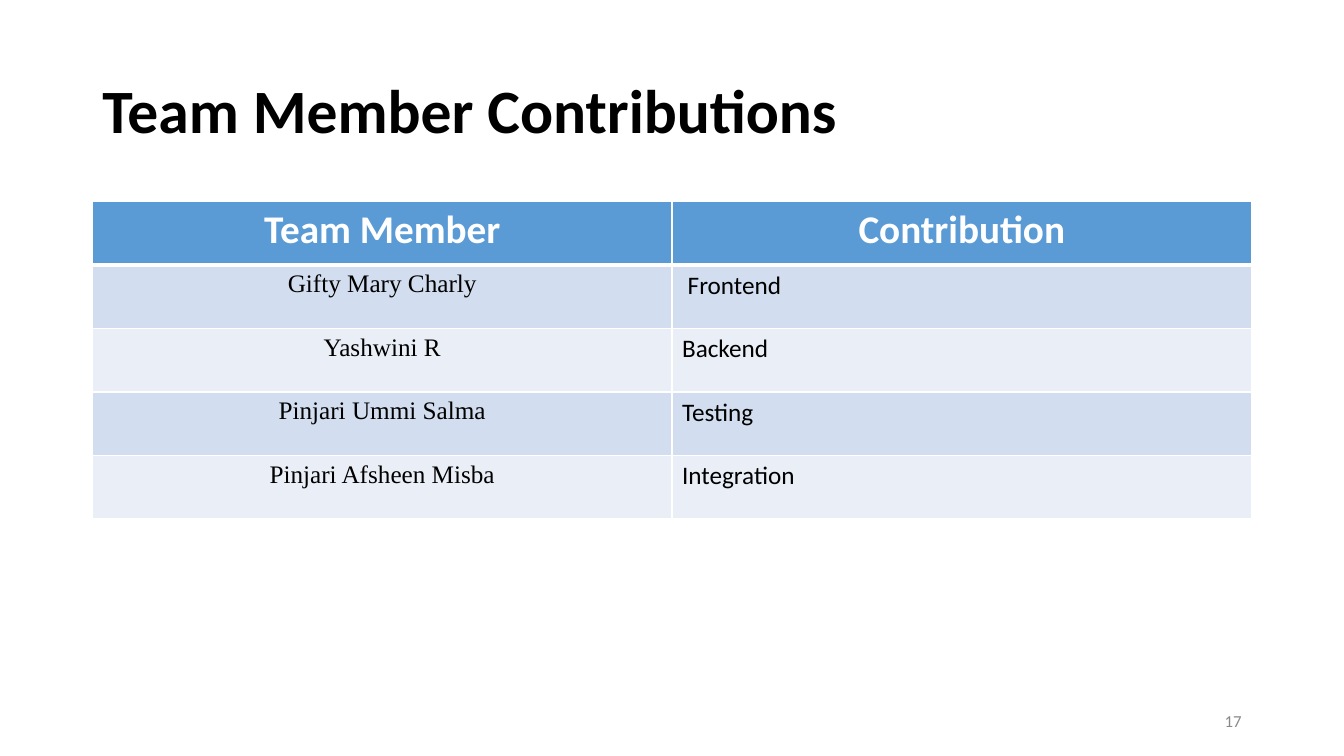
from lxml.etree import SubElement
from pptx import Presentation
from pptx.dml.color import RGBColor
from pptx.enum.text import MSO_ANCHOR as Anchor, PP_ALIGN as Align
from pptx.oxml.ns import qn
from pptx.util import Cm, Pt

COLORS = {
    "text": "000000",
    "white": "FFFFFF",
    "header": "5B9BD5",
    "odd_row": "D2DEEF",
    "even_row": "EAEFF7",
    "number": "898989",
}
HEADINGS = ("Team Member", "Contribution")
CONTRIBUTIONS = [
    ("Gifty Mary Charly", " Frontend"),
    ("Yashwini R", "Backend"),
    ("Pinjari Ummi Salma", "Testing"),
    ("Pinjari Afsheen Misba", "Integration"),
]


def color(name):
    return RGBColor.from_string(COLORS[name])


class SlideBuilder:
    body_font = "Calibri"
    name_font = "Times New Roman"

    def __init__(self, slide):
        self.slide = slide

    def set_text(self, frame, text, size, color_name, align=Align.LEFT, bold=False, font_name=None):
        paragraph = frame.paragraphs[0]
        paragraph.text = text
        paragraph.alignment = align
        font = paragraph.font
        font.name = font_name or self.body_font
        font.size = Pt(size)
        font.bold = bold
        font.color.rgb = color(color_name)
        return paragraph

    def text_box(self, box, text, size, color_name, **style):
        shape = self.slide.shapes.add_textbox(*map(Cm, box))
        frame = shape.text_frame
        frame.word_wrap = True
        frame.vertical_anchor = Anchor.MIDDLE
        return self.set_text(frame, text, size, color_name, **style)

    def borders(self, cell, bottom_width, top_width):
        properties = cell._tc.get_or_add_tcPr()
        widths = {"a:lnL": 1, "a:lnR": 1, "a:lnT": top_width, "a:lnB": bottom_width}
        for position, (tag, width) in enumerate(widths.items()):
            line = SubElement(properties, qn(tag), w=str(Pt(width)))
            fill = SubElement(line, qn("a:solidFill"))
            SubElement(fill, qn("a:srgbClr"), val=COLORS["white"])
            properties.insert(position, line)

    def table(self, left, top, width, row_height, headings, records):
        rows = [headings, *records]
        frame = self.slide.shapes.add_table(
            len(rows), len(headings), Cm(left), Cm(top), Cm(width), Cm(row_height * len(rows))
        )
        for row_index, row in enumerate(rows):
            is_header = row_index == 0
            fill_name = "header" if is_header else "odd_row" if row_index % 2 else "even_row"
            for column_index, text in enumerate(row):
                cell = frame.table.cell(row_index, column_index)
                cell.fill.solid()
                cell.fill.fore_color.rgb = color(fill_name)
                self.borders(cell, 3 if is_header else 1, 3 if row_index == 1 else 1)
                is_name = column_index == 0
                if is_header:
                    self.set_text(cell.text_frame, text, 28, "white", Align.CENTER, bold=True)
                elif is_name:
                    self.set_text(cell.text_frame, text, 18, "text", Align.CENTER, font_name=self.name_font)
                else:
                    self.set_text(cell.text_frame, text, 18, "text")


def main():
    presentation = Presentation()
    presentation.slide_width = Cm(33.87)
    presentation.slide_height = Cm(19.05)
    builder = SlideBuilder(presentation.slides.add_slide(presentation.slide_layouts[6]))

    # Title
    title = builder.text_box((2.33, 1.01, 29.21, 3.68), "Team Member Contributions", 44, "text", bold=True)
    title.line_spacing = 0.9

    # Contributions table
    builder.table(2.33, 5.08, 29.21, 1.6, HEADINGS, CONTRIBUTIONS)

    # Slide number
    builder.text_box((23.92, 17.66, 7.62, 1.01), "17", 12, "number", align=Align.RIGHT)

    presentation.save("out.pptx")


if __name__ == "__main__":
    main()
